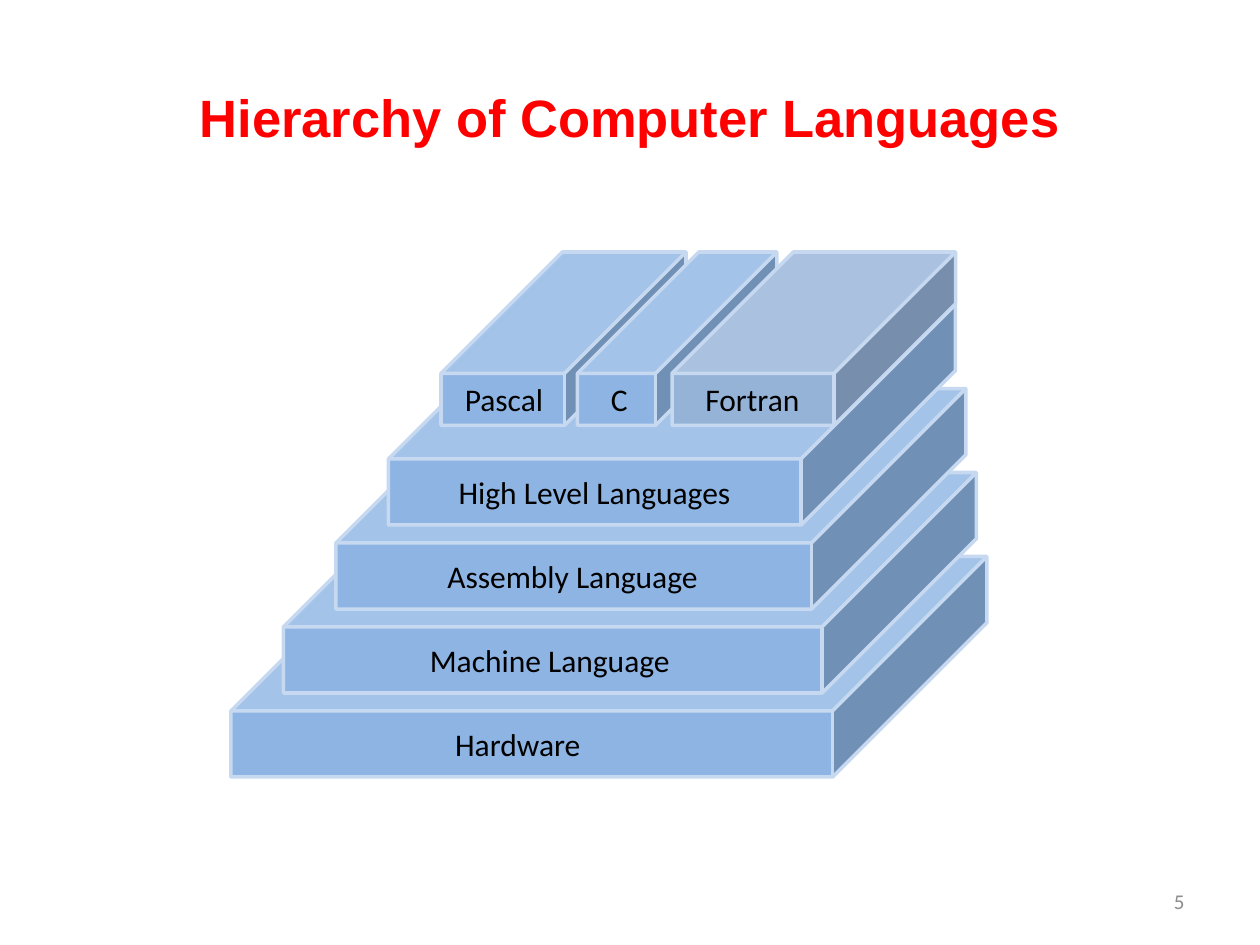
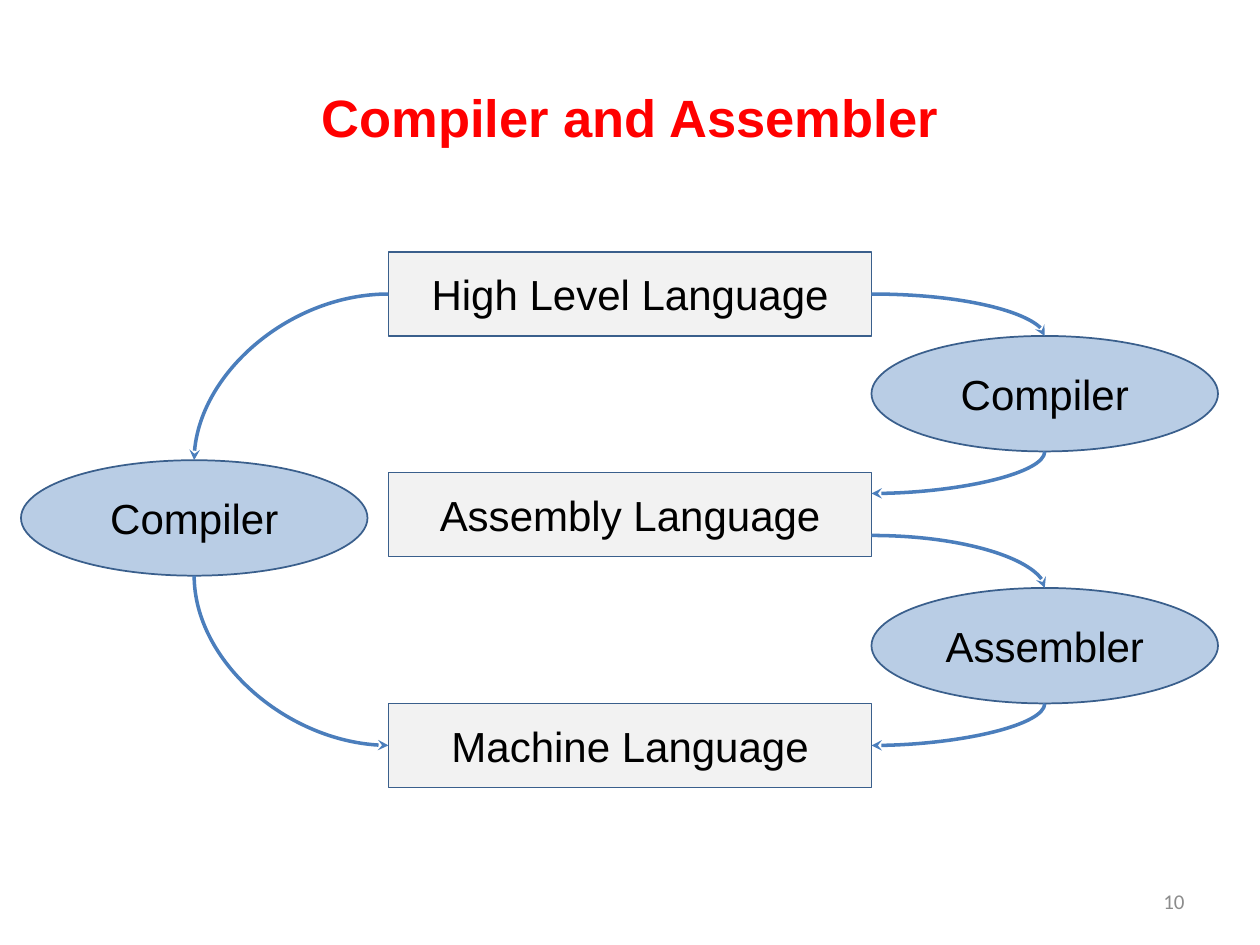
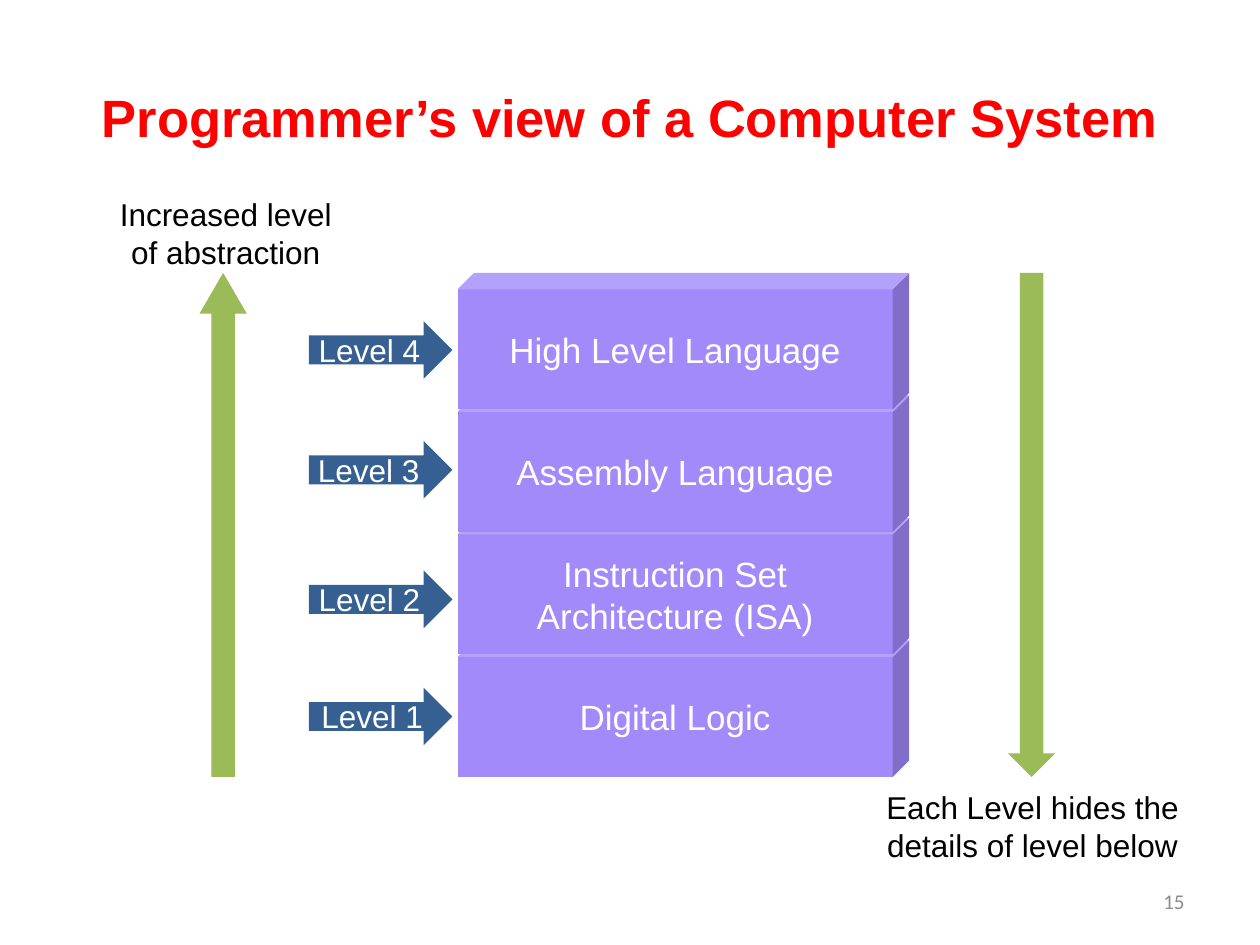
from lxml import etree
from pptx import Presentation
from pptx.dml.color import RGBColor
from pptx.enum import shapes, text
from pptx.oxml import ns
from pptx.util import Pt

RED = RGBColor(0xFF, 0x00, 0x00)
BLACK = RGBColor(0x00, 0x00, 0x00)
WHITE = RGBColor(0xFF, 0xFF, 0xFF)
GREY = RGBColor(0x8C, 0x8C, 0x8C)
PALE = RGBColor(0xF2, 0xF2, 0xF2)
SKY = RGBColor(0x8E, 0xB4, 0xE3)
STEEL = RGBColor(0x95, 0xB3, 0xD7)
ICE = RGBColor(0xC6, 0xD9, 0xF1)
MIST = RGBColor(0xB9, 0xCD, 0xE5)
EDGE = RGBColor(0x3A, 0x5F, 0x8C)
CURVE = RGBColor(0x4B, 0x7E, 0xBC)
NAVY = RGBColor(0x37, 0x60, 0x92)
VIOLET = RGBColor(0xA2, 0x8A, 0xFA)
GREEN = RGBColor(0x9B, 0xBB, 0x59)

KIND = shapes.MSO_SHAPE
LEFT, MID, RIGHT = text.PP_ALIGN.LEFT, text.PP_ALIGN.CENTER, text.PP_ALIGN.RIGHT


def points(*nums):
    return [Pt(num) for num in nums]


def write(shape, words, size, color, font="Arial", align=MID, bold=False):
    """Set the text of a shape as one formatted paragraph."""
    frame = shape.text_frame
    frame.text = words
    frame.word_wrap = True
    para = frame.paragraphs[0]
    para.alignment = align
    face = para.runs[0].font
    face.name, face.size, face.bold = font, Pt(size), bold
    face.color.rgb = color
    return frame


def label(slide, words, box, size=18, color=BLACK, font="Arial", align=LEFT, wrap=False):
    """Add a text box that grows with its text."""
    frame = write(slide.shapes.add_textbox(*points(*box)), words, size, color, font, align)
    frame.word_wrap = wrap
    frame.auto_size = text.MSO_AUTO_SIZE.SHAPE_TO_FIT_TEXT


def solid(slide, kind, box, fill, line=None, width=1, adj=()):
    """Add a flat preset shape, with an outline only if line is given."""
    shape = slide.shapes.add_shape(kind, *points(*box))
    shape.shadow.inherit = False
    shape.fill.solid()
    shape.fill.fore_color.rgb = fill
    if line is None:
        shape.line.fill.background()
    else:
        shape.line.color.rgb = line
        shape.line.width = Pt(width)
    for i, part in enumerate(adj):
        shape.adjustments[i] = part
    return shape


def node(slide, kind, box, words, fill):
    shape = solid(slide, kind, box, fill, EDGE)
    write(shape, words, 24, BLACK).vertical_anchor = text.MSO_ANCHOR.MIDDLE


def bend(slide, side, pole, end):
    """Curve that leaves side level and meets pole upright; end is the arrowed tag."""
    line = slide.shapes.add_connector(
        shapes.MSO_CONNECTOR.CURVE, *points(*side, *pole))
    line.line.color.rgb = CURVE
    line.line.width = Pt(2)
    props = line._element.spPr
    props.find(ns.qn("a:prstGeom")).set("prst", "curvedConnector2")
    tip = etree.SubElement(props.find(ns.qn("a:ln")), ns.qn(end))
    tip.set("type", "stealth")
    etree.SubElement(props, ns.qn("a:effectLst"))


def start(deck, title, number):
    """Add a slide with its title and page number."""
    slide = deck.slides.add_slide(deck.slide_layouts[5])
    head = slide.shapes.title
    head.left, head.top, head.width, head.height = points(36, 21.6, 648, 90)
    write(head, title, 30, RED, bold=True).vertical_anchor = text.MSO_ANCHOR.MIDDLE
    page = slide.shapes.add_textbox(*points(516, 500.5, 168, 28.75))
    frame = write(page, number, 12, GREY, "Calibri", RIGHT)
    frame.vertical_anchor = text.MSO_ANCHOR.MIDDLE
    return slide


def tiers(slide, x, y):
    """Draw the stepped pyramid with its top left corner at x, y."""
    slabs = [("Hardware", 121, 87), ("Machine Language", 76.5, 153.5),
             ("Assembly Language", 56.5, 159), ("High Level Languages", 33, 172)]
    tops = [("Pascal", 120, 140, 6.5, 60, SKY), ("C", 198, 114, 12, 24.5, SKY),
            ("Fortran", 252, 162, 12, 69, STEEL)]
    names = []
    for i, (name, shift, wide) in enumerate(slabs):
        left, top = x + 30 * i, y + 174 - 48 * i
        solid(slide, KIND.CUBE, (left, top, 432 - 36 * i, 126), SKY, ICE, 2, [0.7])
        names.append((name, (left + shift, top + 93, wide, 29)))
    for name, step, wide, shift, room, fill in tops:
        solid(slide, KIND.CUBE, (x + step, y, wide, 99), fill, ICE, 2, [0.7])
        names.append((name, (x + step + shift, y + 69.5, room, 29)))
    for name, box in names:
        label(slide, name, box, font="Calibri")


def flow(slide, x, y):
    """Draw the translation paths with their top left corner at x, y."""
    near, far = x + 210, x + 486
    west, east = x + 99, x + 585
    for name, top in [("High Level Language", 0), ("Assembly Language", 126),
                      ("Machine Language", 258)]:
        node(slide, KIND.RECTANGLE, (near, y + top, 276, 48), name, PALE)
    for name, mid, top in [("Compiler", east, 48), ("Assembler", east, 192),
                           ("Compiler", west, 119)]:
        node(slide, KIND.OVAL, (mid - 99, y + top, 198, 66), name, MIST)
    for side, level, pole, tip, end in [
            (far, 24, east, 48, "a:tailEnd"), (far, 162, east, 192, "a:tailEnd"),
            (near, 24, west, 119, "a:tailEnd"), (near, 282, west, 185, "a:headEnd"),
            (far, 282, east, 258, "a:headEnd"), (far, 138, east, 114, "a:headEnd")]:
        bend(slide, (side, y + level), (pole, y + tip), end)


def stack(slide, x, y):
    """Draw the tower of levels, bottom block first, with its pointers."""
    names = ["High Level Language", "Assembly Language",
             "Instruction Set Architecture (ISA)", "Digital Logic"]
    rows = [27.5, 96, 170, 237]
    shifts = [-1.5, -2, -1.5, 0]
    for i in reversed(range(len(names))):
        block = solid(slide, KIND.CUBE, (x, y + 70 * i, 258, 78), VIOLET, adj=[0.12])
        write(block, names[i], 20, WHITE).vertical_anchor = text.MSO_ANCHOR.MIDDLE
        left, top = x - 85, y + rows[i]
        solid(slide, KIND.RIGHT_ARROW, (left, top, 82, 33), NAVY)
        label(slide, f"Level {4 - i}", (left + shifts[i], top + 2, 73.5, 29), color=WHITE)


def trends(slide, x, y):
    """Draw the tall arrows on both sides and their captions."""
    solid(slide, KIND.UP_ARROW, (x + 54, y, 27, 288), GREEN, adj=[0.5, 0.86])
    solid(slide, KIND.DOWN_ARROW, (x + 516, y, 27, 288), GREEN)
    label(slide, "Increased level of abstraction", (x, y - 48, 138, 51),
          align=MID, wrap=True)
    label(slide, "Each Level hides the details of level below",
          (x + 434, y + 291, 192, 51), align=MID, wrap=True)


def main():
    deck = Presentation()
    deck.slide_width, deck.slide_height = points(720, 540)
    tiers(start(deck, "Hierarchy of Computer Languages", "5"), 132, 144)
    flow(start(deck, "Compiler and Assembler", "10"), 12, 144)
    view = start(deck, "Programmer’s view of a Computer System", "15")
    stack(view, 261.5, 156)
    trends(view, 60, 156)
    deck.save("out.pptx")


if __name__ == "__main__":
    main()
